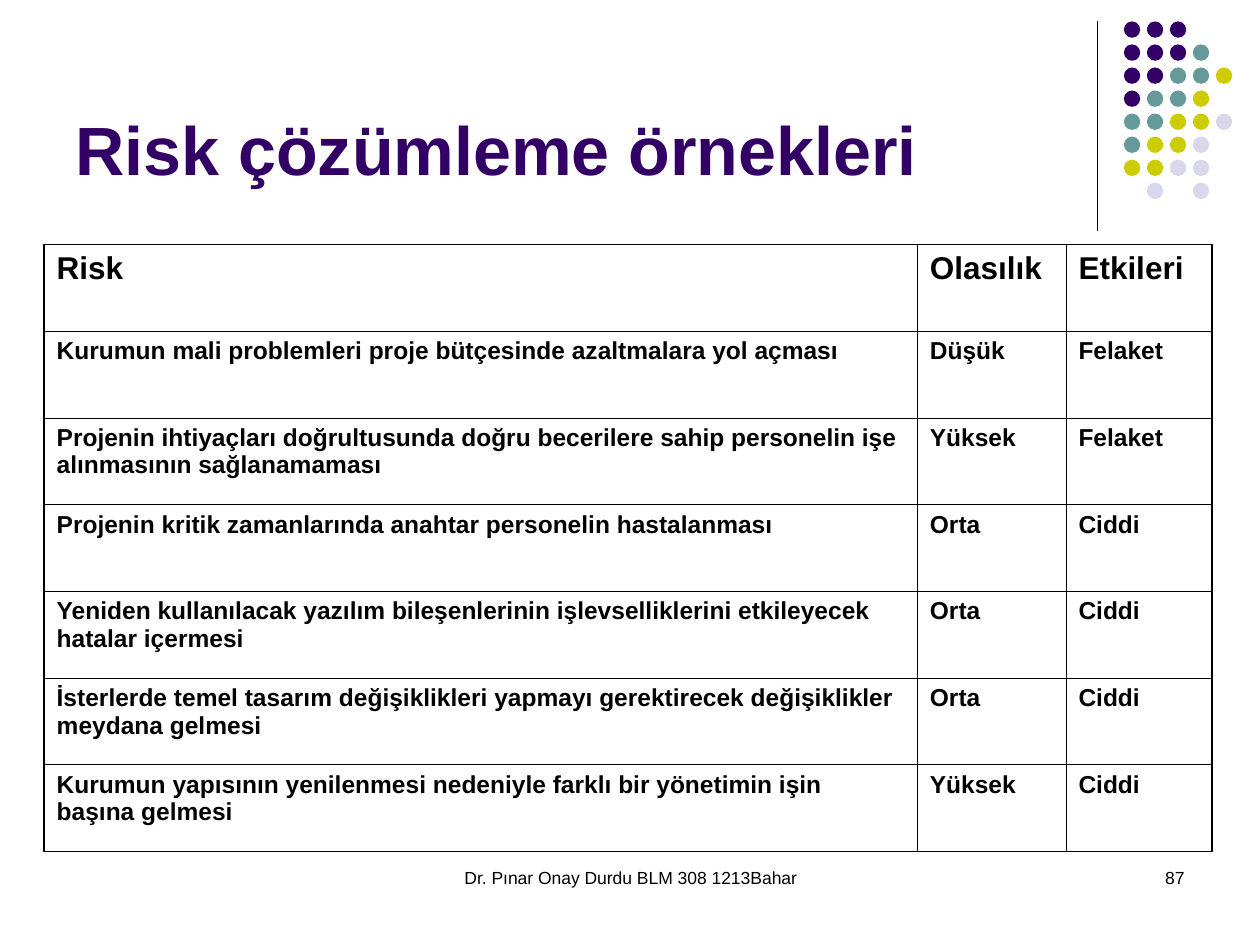
import pptx
import pptx.dml.color
import pptx.enum.shapes
import pptx.enum.text
import pptx.oxml.ns
import pptx.util
from lxml import etree
from pptx.util import Inches

COLORS = {"black": "000000", "purple": "330066", "teal": "669999", "lime": "CCCC00", "lavender": "D8D8EC"}
ALIGN = pptx.enum.text.PP_ALIGN
ANCHOR = pptx.enum.text.MSO_ANCHOR


def style_text(paragraph, size, bold=False, color="black", align=ALIGN.LEFT):
    paragraph.alignment = align
    paragraph.font.name = "Arial"
    paragraph.font.size = pptx.util.Pt(size)
    paragraph.font.bold = bold
    paragraph.font.color.rgb = pptx.dml.color.RGBColor.from_string(COLORS[color])


def add_border(cell, side, width):
    line = etree.SubElement(cell._tc.get_or_add_tcPr(), pptx.oxml.ns.qn(f"a:ln{side}"), w=str(pptx.util.Pt(width)))
    fill = etree.SubElement(line, pptx.oxml.ns.qn("a:solidFill"))
    etree.SubElement(fill, pptx.oxml.ns.qn("a:srgbClr"), val=COLORS["black"])


deck = pptx.Presentation()
deck.slide_width = Inches(10)
deck.slide_height = Inches(7.5)
slide = deck.slides.add_slide(deck.slide_layouts[6])

divider = slide.shapes.add_connector(
    pptx.enum.shapes.MSO_CONNECTOR.STRAIGHT, Inches(8.71), Inches(0.17), Inches(8.71), Inches(1.83))
divider.line.width = pptx.util.Pt(0.75)
divider.line.color.rgb = pptx.dml.color.RGBColor.from_string(COLORS["black"])
etree.SubElement(divider._element.spPr, pptx.oxml.ns.qn("a:effectLst"))

dot_colors = {"P": "purple", "T": "teal", "L": "lime", "V": "lavender"}
dot_rows = ["PPP", "PPPT", "PPTTL", "PTTL", "TTLLV", "TLLV", "LLVV", " V V"]
for row, dots in enumerate(dot_rows):
    for column, code in enumerate(dots):
        if code == " ":
            continue
        dot = slide.shapes.add_shape(
            pptx.enum.shapes.MSO_SHAPE.OVAL, Inches(8.92 + 0.73 * column / 4), Inches(0.17 + 1.28 * row / 7),
            Inches(0.13), Inches(0.13))
        dot.shadow.inherit = False
        dot.fill.solid()
        dot.fill.fore_color.rgb = pptx.dml.color.RGBColor.from_string(COLORS[dot_colors[code]])
        dot.line.fill.background()

captions = [
    ("Dr. Pınar Onay Durdu BLM 308 1213Bahar", (3.42, 6.83, 3.17, 0.5), 10, False, "black", ALIGN.CENTER, ANCHOR.TOP),
    ("87", (7.17, 6.83, 2.33, 0.5), 10, False, "black", ALIGN.RIGHT, ANCHOR.TOP),
    ("Risk çözümleme örnekleri", (0.5, 0.13, 8.25, 1.42), 39, True, "purple", ALIGN.LEFT, ANCHOR.BOTTOM),
]
for wording, place, size, bold, color, align, anchor in captions:
    frame = slide.shapes.add_textbox(*map(Inches, place)).text_frame
    frame.word_wrap = True
    frame.vertical_anchor = anchor
    frame.text = wording
    style_text(frame.paragraphs[0], size, bold, color, align)

risks = [
    ("Risk", "Olasılık", "Etkileri"),
    ("Kurumun mali problemleri proje bütçesinde azaltmalara yol açması", "Düşük", "Felaket"),
    ("Projenin ihtiyaçları doğrultusunda doğru becerilere sahip personelin işe alınmasının sağlanamaması",
     "Yüksek", "Felaket"),
    ("Projenin kritik zamanlarında anahtar personelin hastalanması", "Orta", "Ciddi"),
    ("Yeniden kullanılacak yazılım bileşenlerinin işlevselliklerini etkileyecek hatalar içermesi", "Orta", "Ciddi"),
    ("İsterlerde temel tasarım değişiklikleri yapmayı gerektirecek değişiklikler meydana gelmesi", "Orta", "Ciddi"),
    ("Kurumun yapısının yenilenmesi nedeniyle farklı bir yönetimin işin başına gelmesi", "Yüksek", "Ciddi"),
]
column_widths = [6.93, 1.18, 1.16]
last_row, last_column = len(risks) - 1, len(column_widths) - 1
risk_table = slide.shapes.add_table(
    len(risks), len(column_widths), Inches(0.35), Inches(1.94), Inches(sum(column_widths)), Inches(4.82)).table
risk_table.first_row = False
risk_table.horz_banding = False
for column, width in enumerate(column_widths):
    risk_table.columns[column].width = Inches(width)

for row, entries in enumerate(risks):
    for column, entry in enumerate(entries):
        cell = risk_table.cell(row, column)
        cell.text = entry
        style_text(cell.text_frame.paragraphs[0], 18 if row == 0 else 14, True)
        outer_sides = {"L": column == 0, "R": column == last_column, "T": row == 0, "B": row == last_row}
        for side, is_outer in outer_sides.items():
            add_border(cell, side, 1.08 if is_outer else 0.45)
        cell.fill.background()

deck.save("out.pptx")
